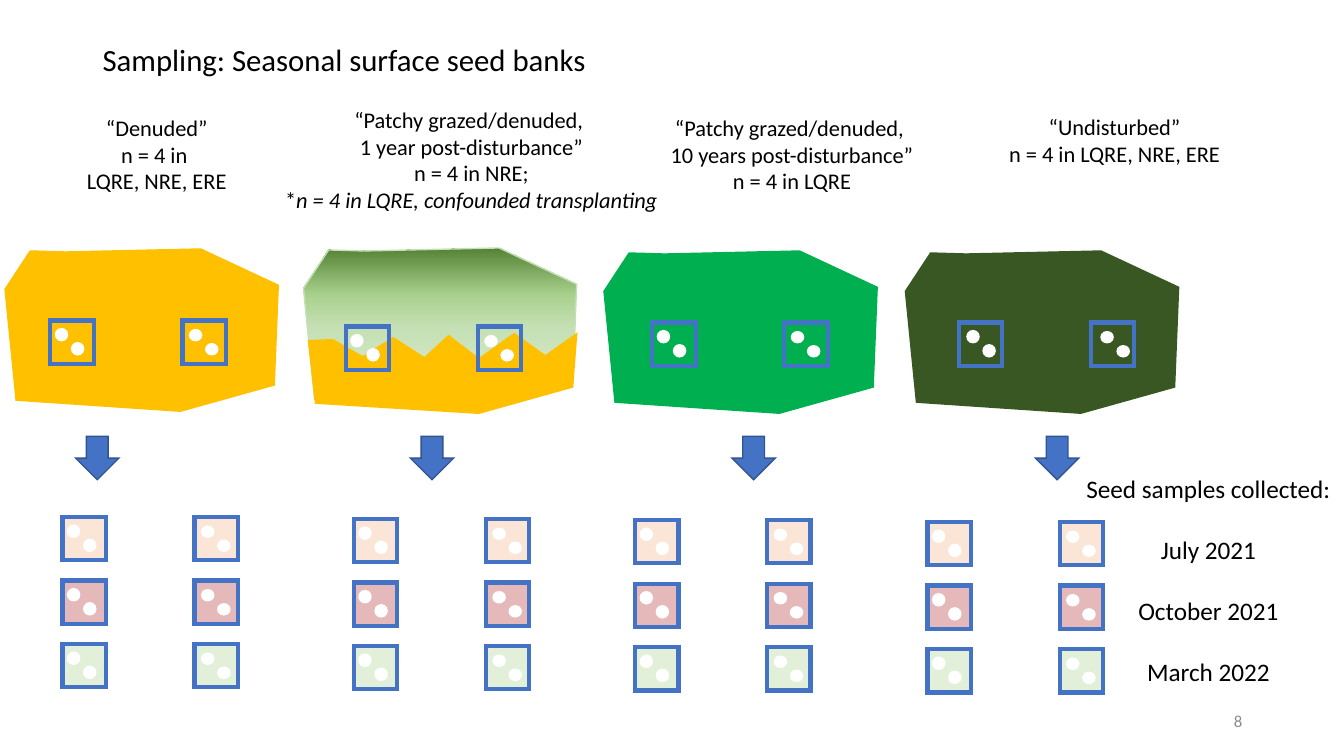
from lxml import etree
from pptx import Presentation
from pptx.dml.color import RGBColor
from pptx.enum.shapes import MSO_SHAPE
from pptx.enum.text import MSO_ANCHOR, PP_ALIGN
from pptx.oxml.ns import qn
from pptx.util import Inches, Pt

RECT, OVAL, DOWN_ARROW = MSO_SHAPE.RECTANGLE, MSO_SHAPE.OVAL, MSO_SHAPE.DOWN_ARROW
LEFT, CENTER, RIGHT = PP_ALIGN.LEFT, PP_ALIGN.CENTER, PP_ALIGN.RIGHT
TOP, MIDDLE = MSO_ANCHOR.TOP, MSO_ANCHOR.MIDDLE

# Content; a line starting with "*" sets what follows the asterisk in italics
TITLE = "Sampling: Seasonal surface seed banks"
PAGE = "8"
SITES = [
    dict(label=["“Denuded”", "n = 4 in ", "LQRE, NRE, ERE"],
         label_box=(0.75, 1.08, 1.61, 0.91), patch=(0.05, 2.47), cover="FFC000",
         plot=(0.5, 3.18), dot_shift=0, arrow_x=0.75, sample=(0.62, 5.13)),
    dict(label=["“Patchy grazed/denuded, ", "1 year post-disturbance”", "n = 4 in NRE;",
                "*n = 4 in LQRE, confounded transplanting"],
         label_box=(2.7, 1, 3.95, 1.18), patch=(3.01, 2.46), cover=None,
         plot=(3.43, 3.24), dot_shift=0, arrow_x=4.07, sample=(3.51, 5.15)),
    dict(label=["“Patchy grazed/denuded, ", "10 years post-disturbance”", "n = 4 in LQRE"],
         label_box=(6.53, 1.08, 2.65, 0.91), patch=(5.99, 2.49), cover="00B050",
         plot=(6.47, 3.2), dot_shift=0, arrow_x=7.26, sample=(6.3, 5.16)),
    dict(label=["“Undisturbed”", "n = 4 in LQRE, NRE, ERE"],
         label_box=(9.89, 1.07, 2.33, 0.64), patch=(8.98, 2.49), cover="385723",
         plot=(9.51, 3.2), dot_shift=0.03, arrow_x=10.27, sample=(9.2, 5.18)),
]
COLLECTED = "Seed samples collected:"
SEASONS = [("July 2021", "FBE5D6"), ("October 2021", "E5B9B9"), ("March 2022", "E2F0D9")]

# Outlines in inches: the patch from its own corner, the bare soil on the slide
PATCH = [(0.25, 0.02), (0, 0.4), (0.11, 1.5), (1.74, 1.61),
         (2.67, 1.35), (2.71, 0.36), (1.94, 0), (0.6, 0.03)]
BARE_SOIL = [(5.72, 3.31), (5.41, 3.53), (5.1, 3.31), (4.75, 3.56), (4.45, 3.33),
             (4.21, 3.55), (3.9, 3.35), (3.6, 3.54), (3.3, 3.37), (3.06, 3.38),
             (3.13, 4), (4.75, 4.1), (5.68, 3.84)]
SOIL = "FFC000"
REGROWTH = [(0, "E2F0D9"), (51, "C5E0B4"), (71, "A9D18E"), (100, "548235")]
REGROWTH_EDGE = "C5E0B4"
BLUE, ARROW_EDGE, WHITE, BLACK, GREY = "4472C4", "325491", "FFFFFF", "000000", "8C8C8C"

# Sizes
SQUARE, PLOT_GAP, SEASON_GAP = 0.43, 1.31, 0.63
DOT_PAIRS = [(0, 0.05, 0.08, 0.12), (PLOT_GAP, 0.07, 0.09, 0.11)]  # plot, dx, dy, height
DOT_WIDTH, DOT_STEP = 0.12, (0.16, 0.14)
ARROW_Y = 4.33

prs = Presentation()
prs.slide_width, prs.slide_height = Inches(13.33), Inches(7.5)
slide = prs.slides.add_slide(prs.slide_layouts[6])


def rgb(value):
    return RGBColor.from_string(value)


def paint(shape, fill, line, width=1):
    shape.shadow.inherit = False
    if fill:
        shape.fill.solid()
        shape.fill.fore_color.rgb = rgb(fill)
    else:
        shape.fill.background()
    shape.line.color.rgb = rgb(line)
    shape.line.width = Pt(width)
    # Sharp corners
    etree.SubElement(shape.element.spPr.find(qn("a:ln")), qn("a:miter"), lim="800000")


def add_preset(kind, x, y, w, h, fill, line, width=1):
    shape = slide.shapes.add_shape(kind, Inches(x), Inches(y), Inches(w), Inches(h))
    paint(shape, fill, line, width)


def add_outline(points, fill, line, origin=(0, 0)):
    placed = [(Inches(origin[0] + x), Inches(origin[1] + y)) for x, y in points]
    builder = slide.shapes.build_freeform(*placed[0])
    builder.add_line_segments(placed[1:], close=True)
    shape = builder.convert_to_shape()
    paint(shape, fill, line)
    return shape


def shade_upwards(shape, stops):
    shape.fill.gradient()
    shape.fill.gradient_angle = 90
    stop_list = shape.element.spPr.find(qn("a:gradFill")).find(qn("a:gsLst"))
    for old in list(stop_list):
        stop_list.remove(old)
    for share, color in stops:
        stop = etree.SubElement(stop_list, qn("a:gs"), pos=str(share * 1000))
        etree.SubElement(stop, qn("a:srgbClr"), val=color)


def add_text(lines, box, size=16, color=BLACK, align=CENTER, anchor=TOP,
             wrap=False, before=0, spacing=None):
    frame = slide.shapes.add_textbox(*map(Inches, box)).text_frame
    frame.word_wrap, frame.vertical_anchor = wrap, anchor
    for i, line in enumerate(lines):
        para = frame.add_paragraph() if i else frame.paragraphs[0]
        para.alignment = align
        para.line_spacing = spacing
        if i:
            para.space_before = Pt(before)
        starred = line.startswith("*")
        for text, italic in [("*", False), (line[1:], True)] if starred else [(line, False)]:
            run = para.add_run()
            run.text = text
            run.font.name, run.font.size = "Calibri", Pt(size)
            run.font.italic = italic
            run.font.color.rgb = rgb(color)


def add_plot_pair(x, y, fill=None, dot_shift=0):
    for offset, *_ in DOT_PAIRS:
        add_preset(RECT, x + offset, y, SQUARE, SQUARE, fill, BLUE, 3)
    for offset, dx, dy, height in DOT_PAIRS:
        for step in range(2):
            add_preset(OVAL, x + offset + dx + dot_shift + step * DOT_STEP[0],
                       y + dy + step * DOT_STEP[1], DOT_WIDTH, height, WHITE, WHITE)


# Sites: patch with plots, arrow, samples by season, label
for site in SITES:
    if site["cover"]:
        add_outline(PATCH, site["cover"], site["cover"], site["patch"])
    else:
        shade_upwards(add_outline(PATCH, None, REGROWTH_EDGE, site["patch"]), REGROWTH)
        add_outline(BARE_SOIL, SOIL, SOIL)
    add_plot_pair(*site["plot"], dot_shift=site["dot_shift"])
    add_preset(DOWN_ARROW, site["arrow_x"], ARROW_Y, SQUARE, SQUARE, BLUE, ARROW_EDGE)
    sample_x, sample_y = site["sample"]
    for row, (_, tint) in enumerate(SEASONS):
        add_plot_pair(sample_x, sample_y + row * SEASON_GAP, tint)
    add_text(site["label"], site["label_box"])

# Season key, title and page number
add_text([COLLECTED] + [season for season, _ in SEASONS], (10.66, 4.65, 2.65, 2.22),
         size=18, before=22)
add_text([TITLE], (0.92, 0.4, 11.5, 1.45), size=22, align=LEFT, wrap=True, spacing=0.9)
add_text([PAGE], (9.42, 6.95, 3, 0.4), size=12, color=GREY, align=RIGHT,
         anchor=MIDDLE, wrap=True)

prs.save("out.pptx")
